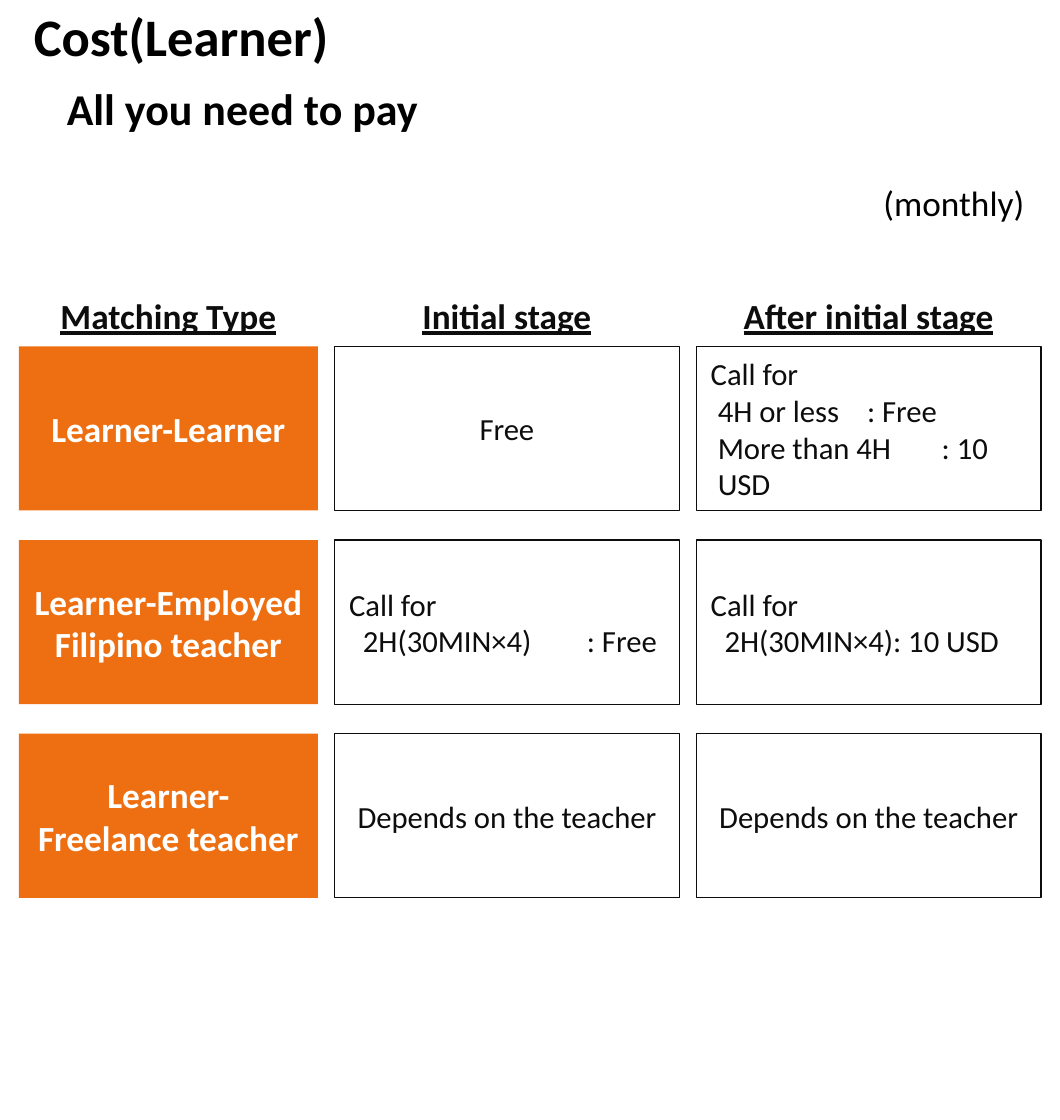
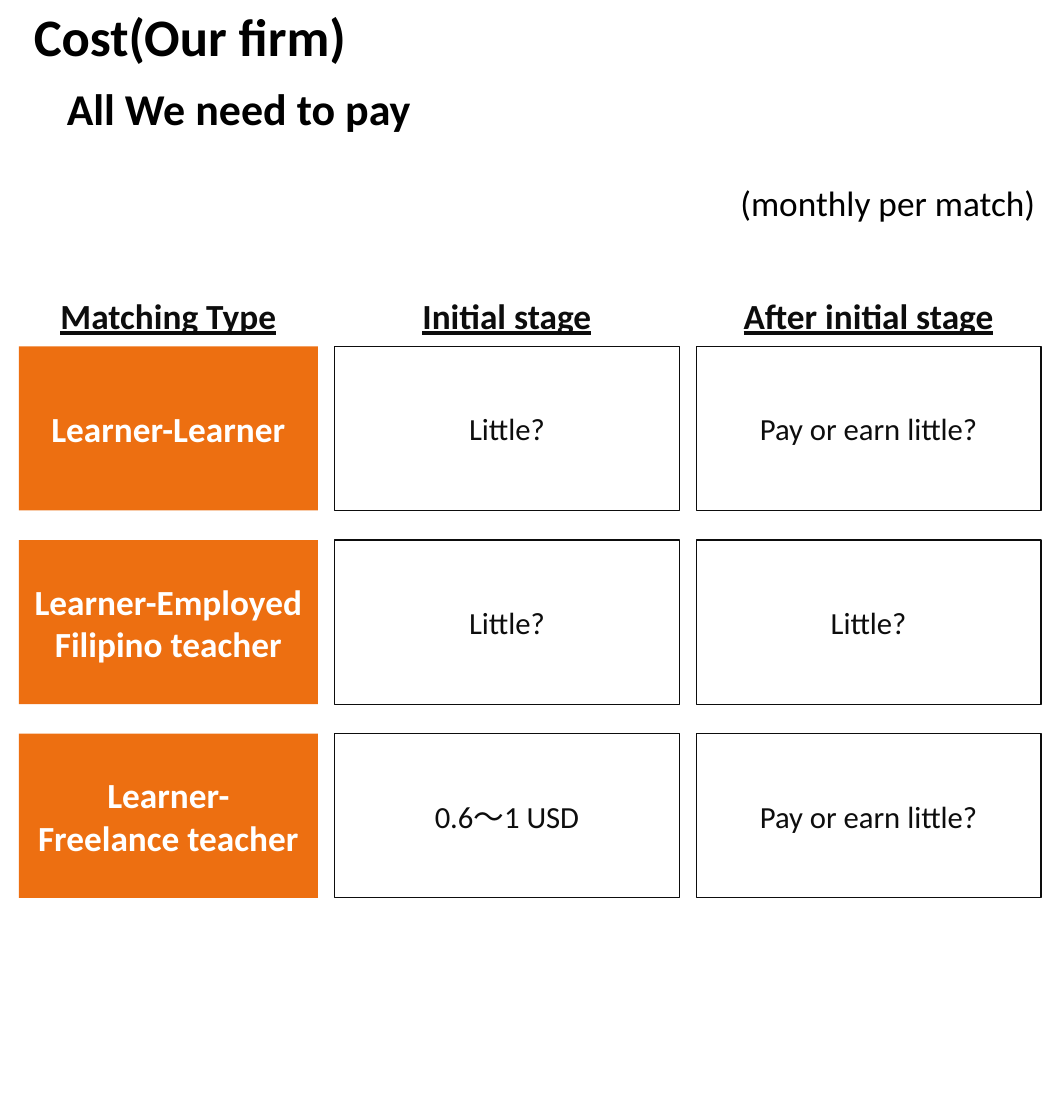
import dataclasses

import lxml.etree
import pptx
import pptx.dml.color
import pptx.enum.shapes
import pptx.enum.text
import pptx.oxml.ns
import pptx.util

Pt = pptx.util.Pt
Align = pptx.enum.text.PP_ALIGN
RECT = pptx.enum.shapes.MSO_SHAPE.RECTANGLE
qn = pptx.oxml.ns.qn


@dataclasses.dataclass(frozen=True)
class Theme:
    font: str = "Calibri"
    black: str = "000000"
    ink: str = "0D0D0D"
    white: str = "FFFFFF"
    orange: str = "ED6F11"
    title: float = 25.4
    lead: float = 21.2
    label: float = 17
    cell: float = 14.8


theme = Theme()


def color(code):
    return pptx.dml.color.RGBColor.from_string(code)


def write(shape, lines, size, ink, align=Align.LEFT, bold=False, under=False):
    """Fill a shape with lines; a line is text or (text, indent, tab stop)."""
    frame = shape.text_frame
    frame.word_wrap = True
    frame.auto_size = pptx.enum.text.MSO_AUTO_SIZE.NONE
    frame.vertical_anchor = pptx.enum.text.MSO_ANCHOR.MIDDLE
    frame.margin_right = Pt(0 if align == Align.LEFT else 7.2)
    for i, line in enumerate(lines):
        text, indent, tab = (line, 0, 0) if isinstance(line, str) else line
        para = frame.paragraphs[0] if i == 0 else frame.add_paragraph()
        para.text = text
        para.alignment = align
        para.space_before = Pt(0)
        props = para._p.get_or_add_pPr()
        props.set("marL", str(Pt(indent)))
        props.set("indent", "0")
        lxml.etree.SubElement(props, qn("a:buNone"))
        if tab:
            stops = lxml.etree.SubElement(props, qn("a:tabLst"))
            lxml.etree.SubElement(stops, qn("a:tab"), pos=str(Pt(tab)), algn="l")
        font = para.font
        font.name = theme.font
        font.size = Pt(size)
        font.bold = bold
        font.underline = under
        font.color.rgb = color(ink)


# Grid: a label column and two equal value columns
LEFT, GAP = 9.1, 8
WIDTHS = [144.2, 166.4, 166.4]
COLS = [LEFT + sum(WIDTHS[:i]) + GAP * i for i in range(3)]
TOP, HIGH, STEP = 167, 79.2, 93.4

HEADS = ["Matching Type", "Initial stage", "After initial stage"]
LABELS = [
    ["Learner-Learner"],
    ["Learner-Employed", "Filipino teacher"],
    ["Learner-", "Freelance teacher"],
]

# Each slide: title, lead, note, left edge of note, values by row
SLIDES = [
    ("Cost(Learner)", "All you need to pay", "(monthly)", 419, [
        [["Free"],
         ["Call for", ("4H or less\t: Free", 3.4, 91),
          ("More than 4H\t: 10 USD", 3.4, 91)]],
        [["Call for", ("2H(30MIN×4)\t: Free", 6.7, 95.5)],
         ["Call for", ("2H(30MIN×4): 10 USD", 6.7, 0)]],
        [["Depends on the teacher"], ["Depends on the teacher"]],
    ]),
    ("Cost(Our firm)", "All We need to pay", "(monthly per match)", 350, [
        [["Little?"], ["Pay or earn little?"]],
        [["Little?"], ["Little?"]],
        [["0.6～1 USD"], ["Pay or earn little?"]],
    ]),
]

deck = pptx.Presentation()
deck.slide_width, deck.slide_height = Pt(511.2), Pt(540)

for title, lead, note, edge, values in SLIDES:
    slide = deck.slides.add_slide(deck.slide_layouts[1])
    shapes = slide.shapes

    # Title and lead
    for shape, text, size, box in (
        (shapes.title, title, theme.title, (9.1, 0.7, 230, 32.4)),
        (slide.placeholders[1], lead, theme.lead, (25, 27.4, 260, 49.7)),
    ):
        shape.left, shape.top, shape.width, shape.height = map(Pt, box)
        write(shape, [text], size, theme.black, bold=True)

    # Note on the period
    right = COLS[2] + WIDTHS[2]
    shape = shapes.add_textbox(Pt(edge), Pt(78.5), Pt(right - edge), Pt(38.2))
    write(shape, [note], theme.label, theme.black)

    # Column heads
    for x, width, head in zip(COLS, WIDTHS, HEADS):
        shape = shapes.add_textbox(Pt(x), Pt(138.2), Pt(width), Pt(28))
        write(shape, [head], theme.label, theme.ink, Align.CENTER, True, True)

    # Rows of boxes
    for row, (label, cells) in enumerate(zip(LABELS, values)):
        y = TOP + STEP * row
        for col, lines in enumerate([label] + cells):
            shape = shapes.add_shape(
                RECT, Pt(COLS[col]), Pt(y), Pt(WIDTHS[col]), Pt(HIGH))
            shape.shadow.inherit = False
            if col == 0:
                shape.fill.solid()
                shape.fill.fore_color.rgb = color(theme.orange)
                shape.line.fill.background()
                write(shape, lines, theme.label, theme.white, Align.CENTER, True)
            else:
                shape.fill.background()
                shape.line.color.rgb = color(theme.ink)
                shape.line.width = Pt(0.5)
                align = Align.CENTER if len(lines) == 1 else Align.LEFT
                write(shape, lines, theme.cell, theme.ink, align)

deck.save("out.pptx")
